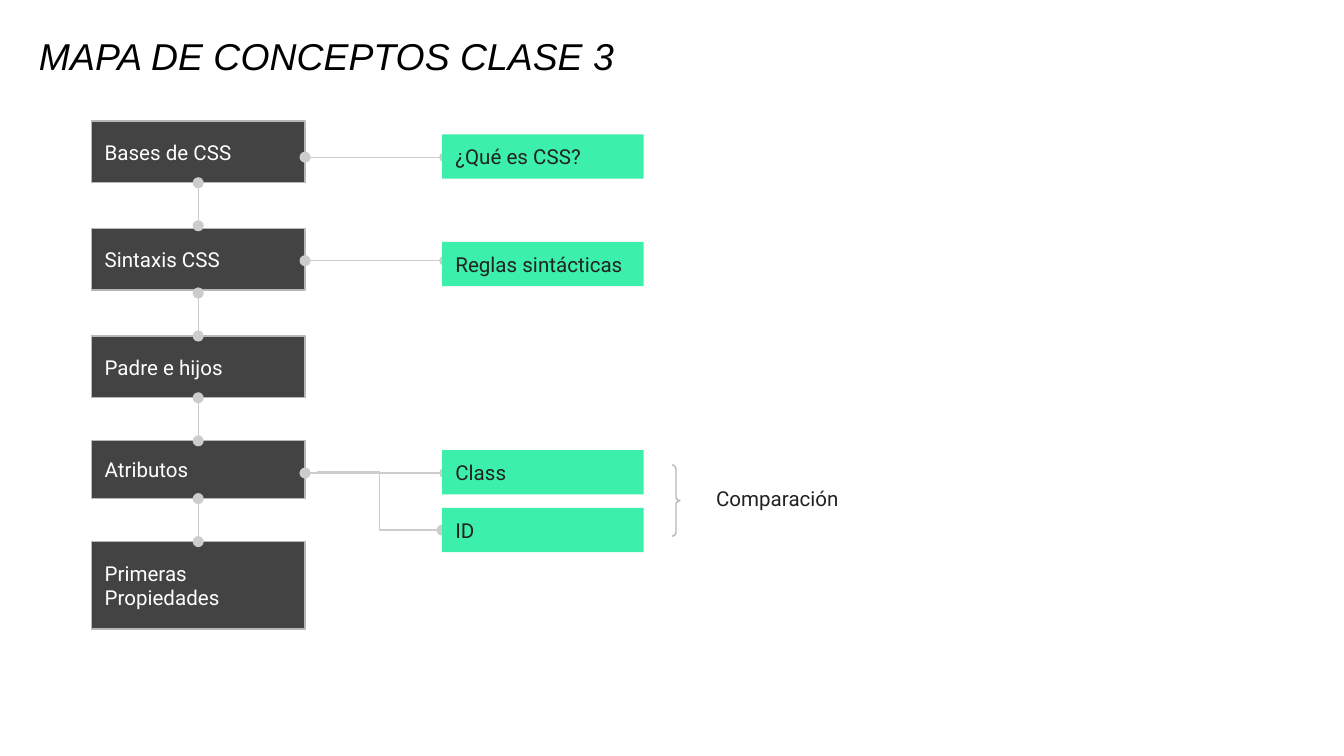
from lxml import etree
from pptx import Presentation
from pptx.dml.color import RGBColor
from pptx.enum import shapes, text
from pptx.oxml.ns import qn
from pptx.util import Pt

PX = 914400 // 200
TOP, LEFT, BOTTOM = 0, 1, 2


def px(*nums):
    return [n * PX for n in nums]


def tint(code):
    return RGBColor.from_string(code)


class Map:
    """Draws the parts of a concept map on one slide in one style."""

    dark, mint, edge, wire = "434343", "3CEFAB", "B7B7B7", "CCCCCC"
    white, ink = "FFFFFF", "222222"

    def __init__(self, deck):
        self.slide = deck.slides.add_slide(deck.slide_layouts[5])

    def fit(self, shape, words, color, anchor, font="Roboto", size=11):
        frame = shape.text_frame
        frame.word_wrap = True
        frame.auto_size = text.MSO_AUTO_SIZE.NONE
        frame.vertical_anchor = anchor
        frame.margin_left, frame.margin_top, frame.margin_right, frame.margin_bottom = px(20, 20, 20, 20)
        para = frame.paragraphs[0]
        para.alignment = text.PP_ALIGN.LEFT
        run = para.add_run()
        run.text = words
        run.font.name, run.font.size = font, Pt(size)
        run.font.color.rgb = tint(color)
        return run

    def title(self, words, *area):
        shape = self.slide.shapes.title
        shape.left, shape.top, shape.width, shape.height = px(*area)
        run = self.fit(shape, words, "000000", text.MSO_ANCHOR.BOTTOM, "Arial", 20)
        run.font.italic = True

    def stroke(self, line, color):
        line.color.rgb = tint(color)
        line.width = Pt(0.75)

    def box(self, words, area, fill, color, edge=None):
        shape = self.slide.shapes.add_shape(shapes.MSO_SHAPE.RECTANGLE, *px(*area))
        shape.shadow.inherit = False
        shape.fill.solid()
        shape.fill.fore_color.rgb = tint(fill)
        if edge:
            self.stroke(shape.line, edge)
        else:
            shape.line.fill.background()
        self.fit(shape, words, color, text.MSO_ANCHOR.MIDDLE)
        return shape

    def topic(self, words, top, height):
        return self.box(words, (136, top, 318, height), self.dark, self.white, self.edge)

    def detail(self, words, top):
        return self.box(words, (658, top, 300, 66), self.mint, self.ink)

    def link(self, *ends, kind=shapes.MSO_CONNECTOR.STRAIGHT, dots=("head", "tail")):
        line = self.slide.shapes.add_connector(kind, *px(*ends))
        self.stroke(line.line, self.wire)
        props = line.element.spPr
        pen = props.find(qn("a:ln"))
        for dot in dots:
            etree.SubElement(pen, qn(f"a:{dot}End"), type="oval")
        etree.SubElement(props, qn("a:effectLst"))
        return line

    def brace(self, *area):
        shape = self.slide.shapes.add_shape(shapes.MSO_SHAPE.RIGHT_BRACE, *px(*area))
        shape.shadow.inherit = False
        shape.fill.background()
        self.stroke(shape.line, self.edge)
        shape.adjustments[0] = shape.adjustments[1] = 0.5

    def label(self, words, *area):
        shape = self.slide.shapes.add_textbox(*px(*area))
        self.fit(shape, words, self.ink, text.MSO_ANCHOR.TOP)


def main():
    deck = Presentation()
    deck.slide_width, deck.slide_height = px(2000, 1125)
    chart = Map(deck)
    chart.title("MAPA DE CONCEPTOS CLASE 3", 38, 44, 1652, 92)

    topics = [
        chart.topic(words, top, height)
        for words, top, height in (
            ("Bases de CSS", 180, 92),
            ("Sintaxis CSS", 340, 92),
            ("Padre e hijos", 500, 92),
            ("Atributos", 656, 86),
            ("Primeras Propiedades", 806, 130),
        )
    ]
    for i, (start, end) in enumerate(((272, 336), (436, 500), (592, 656), (742, 806))):
        line = chart.link(295, start, 295, end)
        if i != 1:
            line.begin_connect(topics[i], BOTTOM)
        if i != 0:
            line.end_connect(topics[i + 1], TOP)

    for words, top, level in (
        ("¿Qué es CSS?", 200, 234),
        ("Reglas sintácticas", 360, 388),
        ("Class", 670, 704),
    ):
        chart.link(454, level, 662, level)
        chart.detail(words, top)

    bent = chart.link(472, 702, 658, 788, kind=shapes.MSO_CONNECTOR.ELBOW, dots=("tail",))
    bent.end_connect(chart.detail("ID", 756), LEFT)

    chart.brace(1000, 692, 12, 106)
    chart.label("Comparación", 1046, 704, 240, 48)
    deck.save("out.pptx")


if __name__ == "__main__":
    main()
